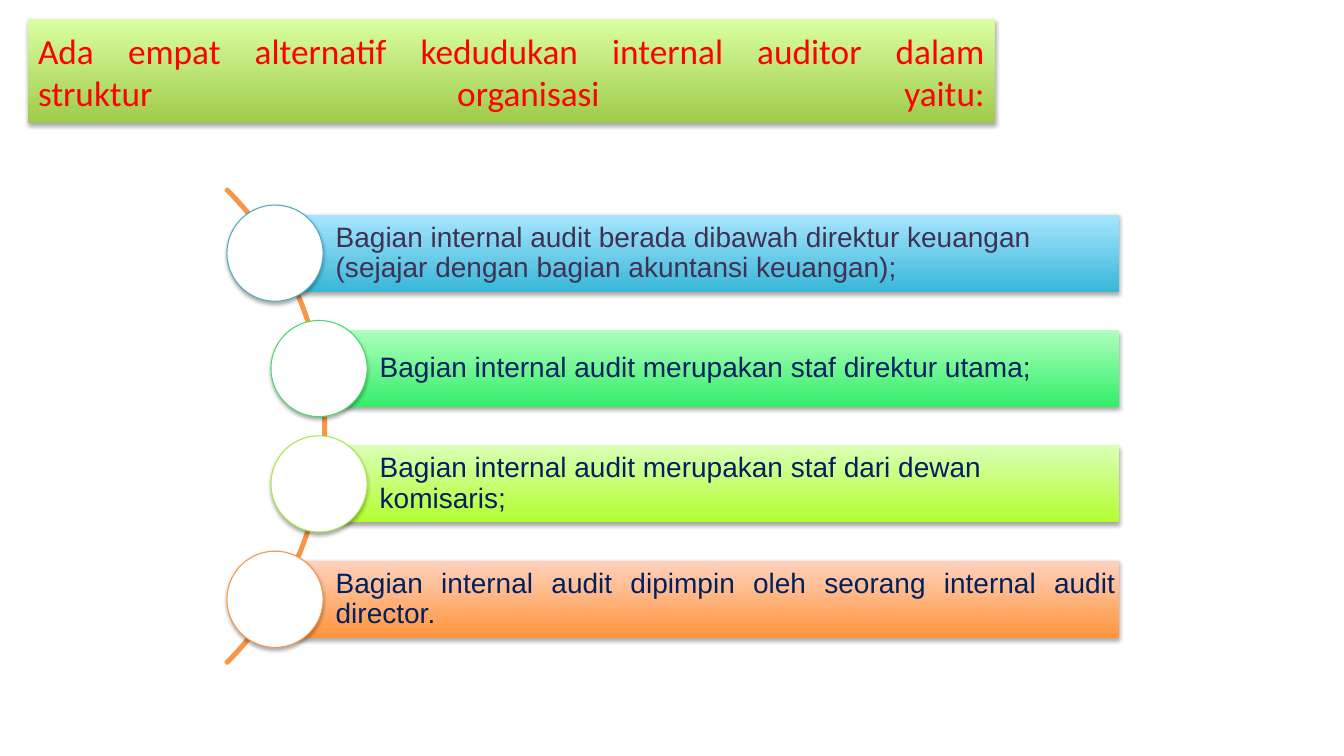
from lxml.etree import SubElement
from pptx import Presentation
from pptx.dml.color import RGBColor
from pptx.enum.shapes import MSO_SHAPE
from pptx.enum.text import MSO_ANCHOR, PP_ALIGN
from pptx.oxml.ns import qn
from pptx.util import Cm, Pt

COLORS = {
    "title": "FF0000", "white": "FFFFFF", "arc": "F79646", "shadow": "000000",
    "plum": "403152", "navy": "002060",
    "title_low": "9FCB4A", "title_high": "DAFFA2",
    "blue_low": "39B7D8", "blue_high": "A7E6FF", "blue_edge": "4BACC6",
    "green_low": "32EE69", "green_high": "AFFFBD", "green_edge": "47D872",
    "lime_low": "B2FF2F", "lime_high": "DBFFB6", "lime_edge": "ACE946",
    "orange_low": "FF953E", "orange_high": "FFD2BD", "orange_edge": "F79646",
}

# wording, hue, text colour, indented along the arc, justified
ITEMS = [
    ("Bagian internal audit berada dibawah direktur keuangan (sejajar dengan "
     "bagian akuntansi keuangan);", "blue", "plum", False, False),
    ("Bagian internal audit merupakan staf direktur utama;",
     "green", "navy", True, False),
    ("Bagian internal audit merupakan staf dari dewan komisaris;",
     "lime", "navy", True, False),
    ("Bagian internal audit dipimpin oleh seorang internal audit director.",
     "orange", "navy", False, True),
]


def rgb(name):
    return RGBColor.from_string(COLORS[name])


def add_shadow(sp):
    sp.shadow.inherit = False
    effects = sp._element.spPr.find(qn("a:effectLst"))
    outer = SubElement(effects, qn("a:outerShdw"), blurRad=str(Pt(3.1)),
                       dist=str(Pt(1.8)), dir="5400000", rotWithShape="0")
    color = SubElement(outer, qn("a:srgbClr"), val=COLORS["shadow"])
    SubElement(color, qn("a:alpha"), val="35000")


def add_panel(s, x, y, w, h, hue):
    sp = s.shapes.add_shape(MSO_SHAPE.RECTANGLE, Cm(x), Cm(y), Cm(w), Cm(h))
    sp.fill.gradient()
    sp.fill.gradient_angle = 90
    for stop, end in zip(sp.fill.gradient_stops, ("low", "high")):
        stop.color.rgb = rgb(f"{hue}_{end}")
    sp.line.fill.background()
    add_shadow(sp)
    return sp


def set_insets(tf, left, rest):
    tf.word_wrap = True
    tf.margin_left = Cm(left)
    tf.margin_top = tf.margin_right = tf.margin_bottom = Cm(rest)


def add_run(p, text, font, size, color):
    r = p.add_run()
    r.text = text
    r.font.name, r.font.size = font, Pt(size)
    r.font.color.rgb = rgb(color)


def add_title(s, x, y, w, h):
    tf = add_panel(s, x, y, w, h, "title").text_frame
    set_insets(tf, 0.25, 0.25)
    tf.vertical_anchor = MSO_ANCHOR.TOP
    p = tf.paragraphs[0]
    p.alignment = PP_ALIGN.JUSTIFY
    # a break after each line stretches it to the full width
    for line in ("Ada empat alternatif kedudukan internal auditor dalam",
                 "struktur organisasi yaitu:"):
        add_run(p, line, "Calibri", 25.2, "title")
        p.add_line_break()


def add_arc(s, x, y, size):
    sp = s.shapes.add_shape(MSO_SHAPE.BLOCK_ARC, Cm(x), Cm(y), Cm(size), Cm(size))
    for i, value in enumerate((189, 27, 0.0032)):
        sp.adjustments[i] = value
    sp.fill.background()
    sp.line.color.rgb = rgb("arc")
    sp.line.width = Pt(2)
    sp.shadow.inherit = False


def add_item(s, x, y, w, h, item):
    text, hue, color, _, justified = item
    # bar
    tf = add_panel(s, x, y, w, h, hue).text_frame
    set_insets(tf, 1.53, 0.08 if justified else 0.15)
    tf.vertical_anchor = MSO_ANCHOR.MIDDLE
    p = tf.paragraphs[0]
    p.alignment = PP_ALIGN.JUSTIFY if justified else PP_ALIGN.LEFT
    p.line_spacing = 0.9
    add_run(p, text, "Arial", 20, color)
    # circle centred on the left end of the bar
    d = 1.25 * h
    sp = s.shapes.add_shape(MSO_SHAPE.OVAL, Cm(x - d / 2), Cm(y + (h - d) / 2),
                            Cm(d), Cm(d))
    sp.fill.solid()
    sp.fill.fore_color.rgb = rgb("white")
    sp.line.color.rgb = rgb(f"{hue}_edge")
    sp.line.width = Pt(0.75)
    add_shadow(sp)


def add_curved_list(s, x, y, w, h):
    bar_h = h / 5.5  # four bars and three gaps of half a bar
    arc = 16.92
    add_arc(s, x - 15.64, y + (h - arc) / 2, arc)
    for i, item in enumerate(ITEMS):
        indent = 1.11 if item[3] else 0
        add_item(s, x + indent, y + i * 1.5 * bar_h, w - indent, bar_h, item)


def main():
    prs = Presentation()
    prs.slide_width, prs.slide_height = Cm(33.87), Cm(19.05)
    s = prs.slides.add_slide(prs.slide_layouts[6])
    add_title(s, 0.71, 0.48, 24.36, 2.62)
    add_curved_list(s, 6.93, 5.41, 21.27, 10.66)
    prs.save("out.pptx")


if __name__ == "__main__":
    main()
